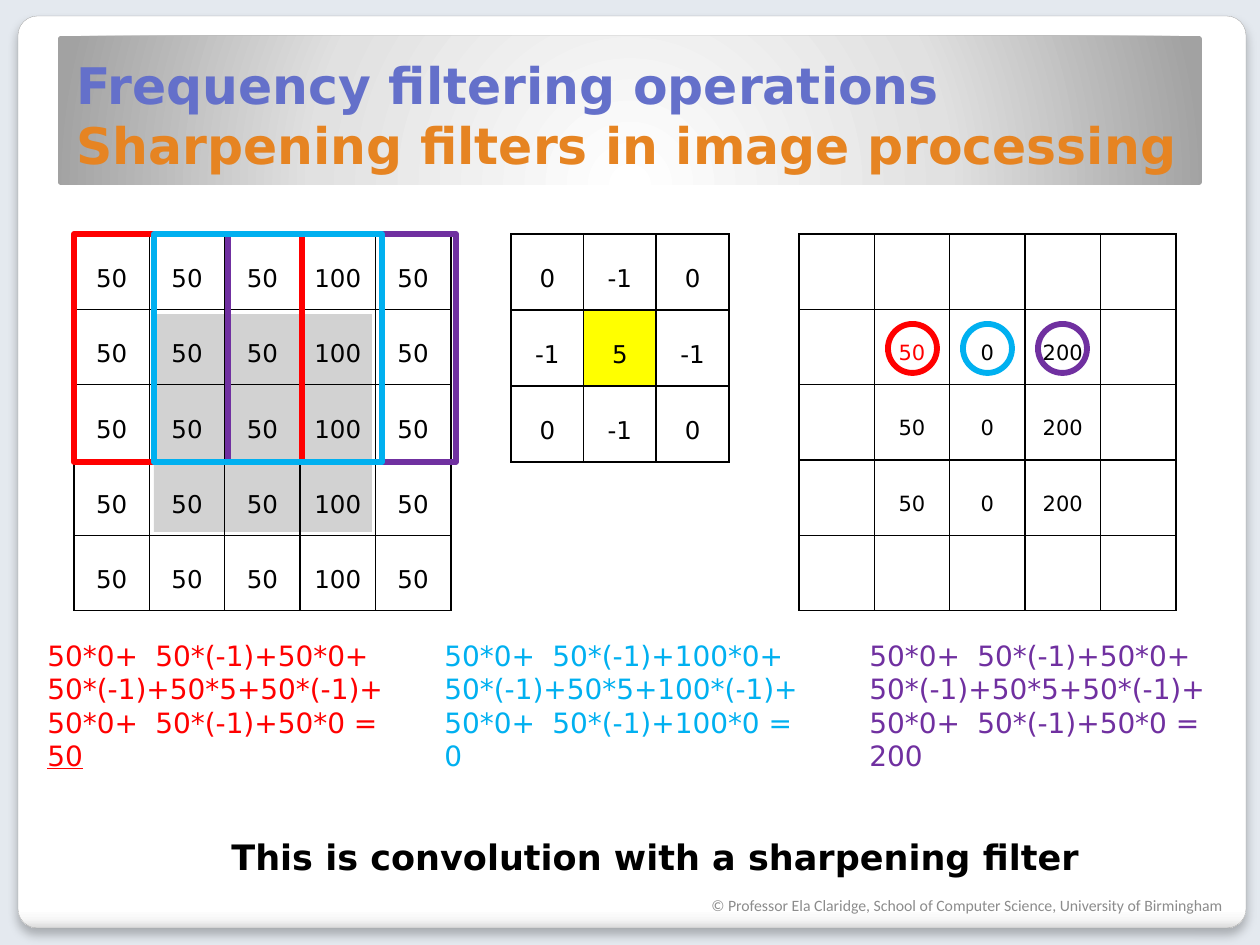
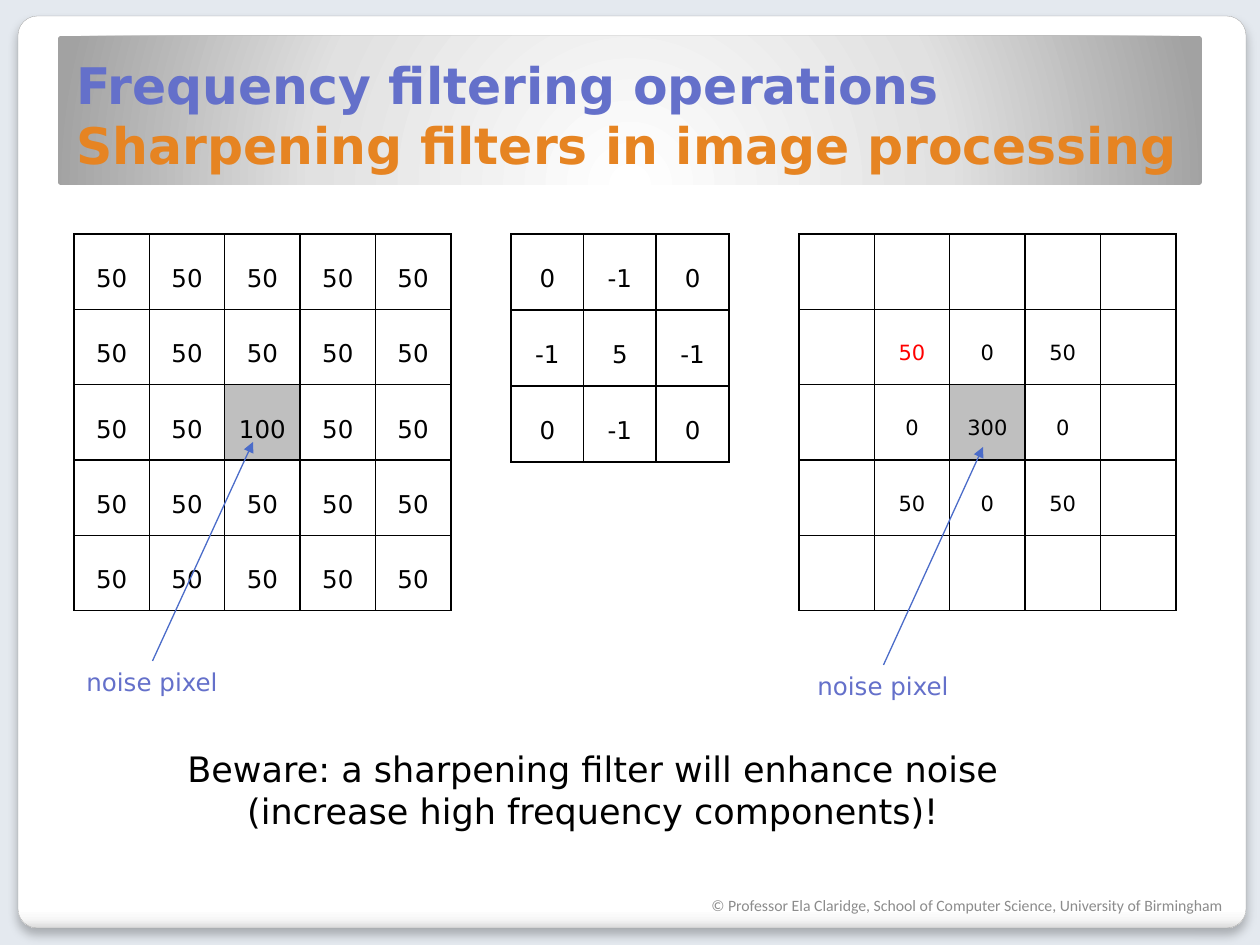
"""Build two slides on sharpening filters in image processing."""
from lxml import etree
from pptx import Presentation
from pptx.dml.color import RGBColor
from pptx.enum.shapes import MSO_CONNECTOR, MSO_SHAPE
from pptx.enum.text import MSO_ANCHOR, MSO_AUTO_SIZE, PP_ALIGN
from pptx.oxml.ns import nsdecls, qn
from pptx.oxml import parse_xml
from pptx.util import Emu, Pt

RECTANGLE, ROUNDED, OVAL = MSO_SHAPE.RECTANGLE, MSO_SHAPE.ROUNDED_RECTANGLE, MSO_SHAPE.OVAL
STRAIGHT = MSO_CONNECTOR.STRAIGHT
TOP, MIDDLE, BOTTOM = MSO_ANCHOR.TOP, MSO_ANCHOR.MIDDLE, MSO_ANCHOR.BOTTOM
LEFT, CENTER = PP_ALIGN.LEFT, PP_ALIGN.CENTER
FIT_SHAPE, NO_FIT = MSO_AUTO_SIZE.SHAPE_TO_FIT_TEXT, MSO_AUTO_SIZE.NONE

COLORS = {
    "backdrop": "E4E9EF", "card edge": "A4A4A4", "black": "000000",
    "topic": "6470CA", "subtopic": "E68422", "footer": "8C8C8C",
    "red": "FF0000", "blue": "00B0F0", "purple": "7030A0", "yellow": "FFFF00",
    "shade": "C0C0C0", "noise": "BFBFBF", "arrow": "4B6CC9",
}
CARD_STOPS = [(0, "FFFFFF"), (98, "FFFFFF"), (99, "F7F7F7"), (100, "DADADA")]
BAND_STOPS = [(0, "FFFFFF"), (55, "E1E1E1"), (100, "A2A2A2")]
FONT, FOOTER_FONT = "DejaVu Sans", "Calibri"
CORNER = 0.021

TITLE = "Frequency filtering operations\vSharpening filters in image processing"
FOOTER = "© Professor Ela Claridge, School of Computer Science, University of Birmingham"

INPUT_BOX = (74, 234, 377, 377)
KERNEL_BOX = (511, 234, 218, 228)
RESULT_BOX = (799, 234, 377, 377)
KERNEL = [[0, -1, 0], [-1, 5, -1], [0, -1, 0]]
EDGE_INPUT = [[50, 50, 50, 100, 50]] * 5
NOISE_INPUT = [[100 if row == col == 2 else 50 for col in range(5)] for row in range(5)]
EDGE_RESULT = [[50, 0, 200]] * 3
NOISE_RESULT = [[50, 0, 50], [0, 300, 0], [50, 0, 50]]

SHADED_PIXELS = (154, 314, 218, 218)
WINDOW = 228
RING_LEFT, RING_TOP, RING_STEP, RING = 888, 324, 75, 49
SUM_TOP, SUM_TAB = 632, 108
WINDOWS = [
    {"color": "red", "position": 0, "left": 74, "sum box": (35, 388, 152), "sum": [
        "50*0+\t50*(-1)+50*0+", "50*(-1)+50*5+50*(-1)+", "50*0+\t50*(-1)+50*0 =", "50"]},
    {"color": "purple", "position": 2, "left": 228, "sum box": (857, 388, 152), "sum": [
        "50*0+\t50*(-1)+50*0+", "50*(-1)+50*5+50*(-1)+", "50*0+\t50*(-1)+50*0 =", "200"]},
    {"color": "blue", "position": 1, "left": 154, "sum box": (432, 404, 149), "sum": [
        "50*0+\t50*(-1)+100*0+", "50*(-1)+50*5+100*(-1)+", "50*0+\t50*(-1)+100*0 =", "0"]},
]
CONCLUSION = "This is convolution with a sharpening filter"
WARNING = "Beware: a sharpening filter will enhance noise (increase high frequency components)!"
NOISE_LABELS = [((74, 661, 157, 43), (253, 442)), ((805, 665, 157, 43), (983, 447))]


def px(length):
    return Emu(round(length * 914400 / 126))


def place(box):
    return [px(length) for length in box]


def rgb(name):
    return RGBColor.from_string(COLORS[name])


def style(runs, size, color, font=FONT, bold=False):
    for run in runs:
        run.font.name, run.font.size, run.font.bold = font, Pt(size), bold
        run.font.color.rgb = rgb(color)


def add_outline(shapes, kind, box, color=None, width=0):
    shape = shapes.add_shape(kind, *place(box))
    shape.shadow.inherit = False
    shape.fill.background()
    if color:
        shape.line.color.rgb = rgb(color)
        shape.line.width = Pt(width)
    else:
        shape.line.fill.background()
    return shape


def set_gradient(shape, stops, direction):
    stop_xml = "".join(
        f'<a:gs pos="{pos * 1000}"><a:srgbClr val="{color}"/></a:gs>' for pos, color in stops)
    gradient = parse_xml(
        f'<a:gradFill {nsdecls("a")} rotWithShape="1"><a:gsLst>{stop_xml}</a:gsLst>'
        f"{direction}</a:gradFill>")
    properties = shape.element.spPr
    properties.replace(properties.find(qn("a:noFill")), gradient)


def add_text(shapes, box, lines, size, color, font=FONT, bold=False, align=LEFT,
             wrap=False, fit=FIT_SHAPE):
    text_box = shapes.add_textbox(*place(box))
    frame = text_box.text_frame
    frame.word_wrap, frame.auto_size = wrap, fit
    frame.text = "\n".join(lines)
    for paragraph in frame.paragraphs:
        paragraph.alignment = align
        style(paragraph.runs, size, color, font, bold)
    return text_box


def add_base(prs):
    slide = prs.slides.add_slide(prs.slide_layouts[5])
    title = slide.shapes.title
    card = add_outline(slide.shapes, ROUNDED, (18, 16, 1228, 912), "card edge", 0.16)
    set_gradient(card, CARD_STOPS, '<a:lin ang="5400000" scaled="0"/>')
    card.element.spPr.find(qn("a:effectLst")).append(parse_xml(
        f'<a:outerShdw {nsdecls("a")} blurRad="{Pt(6)}" dist="{Pt(4)}" dir="5400000" '
        'rotWithShape="0"><a:srgbClr val="000000"><a:alpha val="25000"/></a:srgbClr>'
        "</a:outerShdw>"))
    band = add_outline(slide.shapes, ROUNDED, (58, 36, 1144, 149))
    set_gradient(band, BAND_STOPS, '<a:path path="circle"><a:fillToRect l="50000" t="175000" '
                                   'r="50000" b="-75000"/></a:path>')
    for backing in (card, band):
        backing.adjustments[0] = CORNER
        title.element.addprevious(backing.element)

    title.left, title.top, title.width, title.height = place((64, 36, 1128, 145))
    frame = title.text_frame
    frame.text = TITLE
    frame.word_wrap, frame.auto_size, frame.vertical_anchor = True, NO_FIT, BOTTOM
    frame.paragraphs[0].alignment = LEFT
    for run, color in zip(frame.paragraphs[0].runs, ("topic", "subtopic")):
        style([run], 28.8, color, bold=True)

    footer = add_text(slide.shapes, (699, 896, 543, 40), [FOOTER], 9, "footer",
                      FOOTER_FONT, wrap=True, fit=NO_FIT)
    footer.text_frame.margin_top, footer.text_frame.vertical_anchor = 0, TOP
    return slide


def add_grid(slide, box, values, size=14, fills=None, inks=None):
    fills, inks = fills or {}, inks or {}
    grid = slide.shapes.add_table(len(values), len(values[0]), *place(box))
    grid.table.first_row = grid.table.horz_banding = False
    for row, row_values in enumerate(values):
        for col, value in enumerate(row_values):
            cell = grid.table.cell(row, col)
            if (row, col) in fills:
                cell.fill.solid()
                cell.fill.fore_color.rgb = rgb(fills[row, col])
            else:
                cell.fill.background()
            cell.margin_left = cell.margin_right = px(11)
            cell.margin_top = cell.margin_bottom = px(5)
            cell.vertical_anchor = MIDDLE
            if value is not None:
                cell.text_frame.text = str(value)
                paragraph = cell.text_frame.paragraphs[0]
                paragraph.alignment, paragraph.line_spacing = CENTER, 1.5
                style(paragraph.runs, size, inks.get((row, col), "black"))
    for properties in grid.element.iter(qn("a:tcPr")):
        for index, side in enumerate("LRTB"):
            properties.insert(index, parse_xml(
                f'<a:ln{side} {nsdecls("a")} w="{Pt(1)}"><a:solidFill>'
                f'<a:srgbClr val="{COLORS["black"]}"/></a:solidFill></a:ln{side}>'))


def add_result(slide, values, fills=None):
    blank = [None] * 5
    framed = [blank, *[[None, *row, None] for row in values], blank]
    add_grid(slide, RESULT_BOX, framed, 12, fills, {(1, 1): "red"})


def add_window(slide, window):
    group = slide.shapes.add_group_shape().shapes
    color = window["color"]
    add_outline(group, RECTANGLE, (window["left"], INPUT_BOX[1], WINDOW, WINDOW), color, 3.35)
    left, width, height = window["sum box"]
    working = add_text(group, (left, SUM_TOP, width, height), window["sum"], 16, color)
    for paragraph in working.element.iter(qn("a:p")):
        tabs = etree.SubElement(paragraph.get_or_add_pPr(), qn("a:tabLst"))
        etree.SubElement(tabs, qn("a:tab"), pos=str(px(SUM_TAB)), algn="l")
    if window["position"] == 0:
        working.text_frame.paragraphs[-1].runs[0].font.underline = True
    ring_left = RING_LEFT + RING_STEP * window["position"]
    add_outline(group, OVAL, (ring_left, RING_TOP, RING, RING), color, 3.35)


def add_noise_label(slide, box, tip):
    label = add_text(slide.shapes, box, ["noise pixel"], 14, "topic")
    arrow = slide.shapes.add_connector(STRAIGHT, *place((box[0], box[1], *tip)))
    arrow.begin_connect(label, 0)
    arrow.line.color.rgb = rgb("arrow")
    arrow.line.width = Pt(0.75)
    properties = arrow.element.spPr
    etree.SubElement(properties.find(qn("a:ln")), qn("a:tailEnd"), type="triangle")
    etree.SubElement(properties, qn("a:effectLst"))


def add_convolution_slide(prs):
    slide = add_base(prs)
    shading = add_outline(slide.shapes, RECTANGLE, SHADED_PIXELS)
    shading.fill.solid()
    shading.fill.fore_color.rgb = rgb("shade")
    shade_color = shading.element.spPr.find(qn("a:solidFill")).find(qn("a:srgbClr"))
    etree.SubElement(shade_color, qn("a:alpha"), val="70000")
    add_grid(slide, KERNEL_BOX, KERNEL, fills={(1, 1): "yellow"})
    add_grid(slide, INPUT_BOX, EDGE_INPUT)
    add_result(slide, EDGE_RESULT)
    for window in WINDOWS:
        add_window(slide, window)
    add_text(slide.shapes, (219, 829, 878, 55), [CONCLUSION], 20, "black", bold=True)


def add_noise_slide(prs):
    slide = add_base(prs)
    noise_pixel = {(2, 2): "noise"}
    add_grid(slide, KERNEL_BOX, KERNEL)
    add_grid(slide, INPUT_BOX, NOISE_INPUT, fills=noise_pixel)
    add_result(slide, NOISE_RESULT, noise_pixel)
    add_text(slide.shapes, (110, 741, 966, 97), [WARNING], 20, "black", align=CENTER, wrap=True)
    for box, tip in NOISE_LABELS:
        add_noise_label(slide, box, tip)


def main():
    prs = Presentation()
    prs.slide_width, prs.slide_height = place((1260, 945))
    backdrop = prs.slide_master.background.fill
    backdrop.solid()
    backdrop.fore_color.rgb = rgb("backdrop")
    add_convolution_slide(prs)
    add_noise_slide(prs)
    prs.save("out.pptx")


if __name__ == "__main__":
    main()
